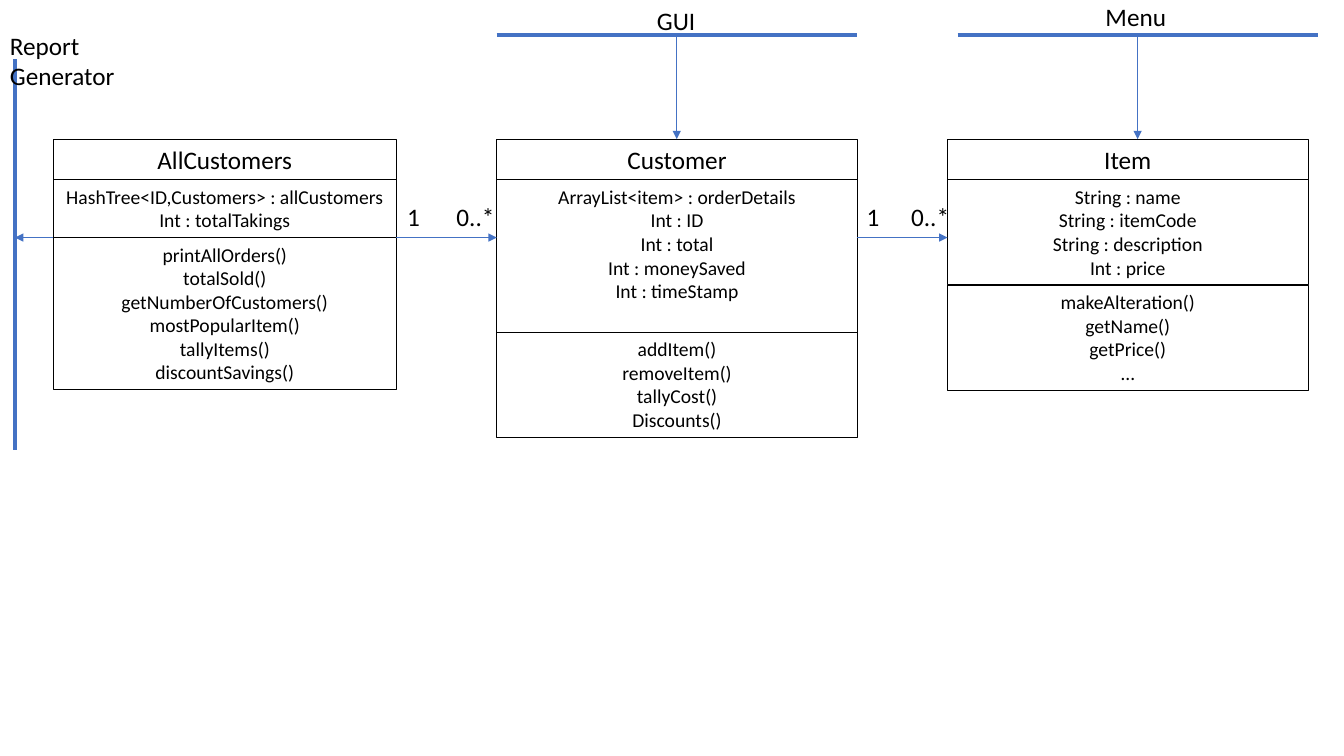
import pptx
import pptx.util
import pptx.dml.color
import pptx.enum.shapes
import pptx.enum.text
import pptx.oxml.ns
import lxml.etree

Pt = pptx.util.Pt
BLACK = pptx.dml.color.RGBColor(0x00, 0x00, 0x00)
BLUE = pptx.dml.color.RGBColor(0x44, 0x72, 0xC4)
FONT = "Calibri"
LEFT = pptx.enum.text.PP_ALIGN.LEFT
CENTER = pptx.enum.text.PP_ALIGN.CENTER

# Content: name, left, width, then (lines, height) of attributes and methods
CLASSES = [
    ("AllCustomers", 38.2, 244.8,
     (["HashTree<ID,Customers> : allCustomers", "Int : totalTakings"], 41.3),
     (["printAllOrders()", "totalSold()", "getNumberOfCustomers()",
       "mostPopularItem()", "tallyItems()", "discountSavings()"], 108.7)),
    ("Customer", 354.8, 257.6,
     (["ArrayList<item> : orderDetails", "Int : ID", "Int : total",
       "Int : moneySaved", "Int : timeStamp"], 108.7),
     (["addItem()", "removeItem()", "tallyCost()", "Discounts()"], 75.1)),
    ("Item", 676.8, 257.6,
     (["String : name", "String : itemCode", "String : description",
       "Int : price"], 75.1),
     (["makeAlteration()", "getName()", "getPrice()", "…"], 75.1)),
]
CLASS_TOP, HEADER_HEIGHT = 99.4, 29.1
ARROW_Y = 169.7

# Interfaces above a class: label, label left, label top, label width, bar left
INTERFACES = [("GUI", 462.2, 0, 54.7, 354.8), ("Menu", 782.6, -2.5, 59.8, 684)]
BAR_Y, BAR_LENGTH = 25.2, 257.2
REPORT_X, REPORT_TOP, REPORT_BOTTOM = 10.8, 42.5, 321.1

# Multiplicities at both ends of each association: text, left, width
MULTIPLICITIES = [("1", 283.7, 23.8), ("0..*", 319, 47.5),
                  ("1", 612, 23.8), ("0..*", 643.7, 47.5)]
MULTIPLICITY_TOP = 140.4

presentation = pptx.Presentation()
presentation.slide_width, presentation.slide_height = Pt(960), Pt(540)
slide = presentation.slides.add_slide(presentation.slide_layouts[6])


def write(shape, lines, size, alignment, wrap=True):
    frame = shape.text_frame
    frame.text = "\n".join(lines)
    frame.word_wrap = wrap
    frame.vertical_anchor = pptx.enum.text.MSO_ANCHOR.TOP
    for paragraph in frame.paragraphs:
        paragraph.alignment = alignment
        for run in paragraph.runs:
            run.font.name, run.font.size = FONT, Pt(size)
            run.font.color.rgb = BLACK


def add_compartment(left, top, width, height, lines, size):
    shape = slide.shapes.add_shape(pptx.enum.shapes.MSO_SHAPE.RECTANGLE,
                                   Pt(left), Pt(top), Pt(width), Pt(height))
    shape.shadow.inherit = False
    shape.fill.background()
    shape.line.color.rgb, shape.line.width = BLACK, Pt(0.75)
    write(shape, lines, size, CENTER)


def add_label(text, left, top, width, height=HEADER_HEIGHT, wrap=False):
    box = slide.shapes.add_textbox(Pt(left), Pt(top), Pt(width), Pt(height))
    write(box, [text], 18, LEFT, wrap)


def add_line(x1, y1, x2, y2, weight=3, arrow=False):
    line = slide.shapes.add_connector(pptx.enum.shapes.MSO_CONNECTOR.STRAIGHT,
                                      Pt(x1), Pt(y1), Pt(x2), Pt(y2))
    line.line.color.rgb, line.line.width = BLUE, Pt(weight)
    properties = line._element.spPr
    lxml.etree.SubElement(properties, pptx.oxml.ns.qn("a:effectLst"))
    if arrow:
        lxml.etree.SubElement(properties.find(pptx.oxml.ns.qn("a:ln")),
                              pptx.oxml.ns.qn("a:tailEnd"), type="triangle")


def add_arrow(x1, y1, x2, y2):
    add_line(x1, y1, x2, y2, 0.5, True)


# Class boxes, compartments stacked downwards
for name, left, width, attributes, methods in CLASSES:
    top = CLASS_TOP
    for lines, height, size in [([name], HEADER_HEIGHT, 18),
                                (*attributes, 14), (*methods, 14)]:
        add_compartment(left, top, width, height, lines, size)
        top += height

# Associations between neighbouring classes
for source, target in zip(CLASSES, CLASSES[1:]):
    add_arrow(source[1] + source[2], ARROW_Y, target[1], ARROW_Y)
for text, left, width in MULTIPLICITIES:
    add_label(text, left, MULTIPLICITY_TOP, width)

# Report generator on the left
add_line(REPORT_X, REPORT_TOP, REPORT_X, REPORT_BOTTOM)
add_arrow(CLASSES[0][1], ARROW_Y, REPORT_X, ARROW_Y)
add_label("Report Generator", 0, 18, 96.5, 50.9, wrap=True)

# Interfaces above Customer and Item
for text, label_left, label_top, label_width, bar_left in INTERFACES:
    middle = bar_left + BAR_LENGTH / 2
    add_line(bar_left, BAR_Y, bar_left + BAR_LENGTH, BAR_Y)
    add_arrow(middle, BAR_Y, middle, CLASS_TOP)
    add_label(text, label_left, label_top, label_width)

presentation.save("out.pptx")
